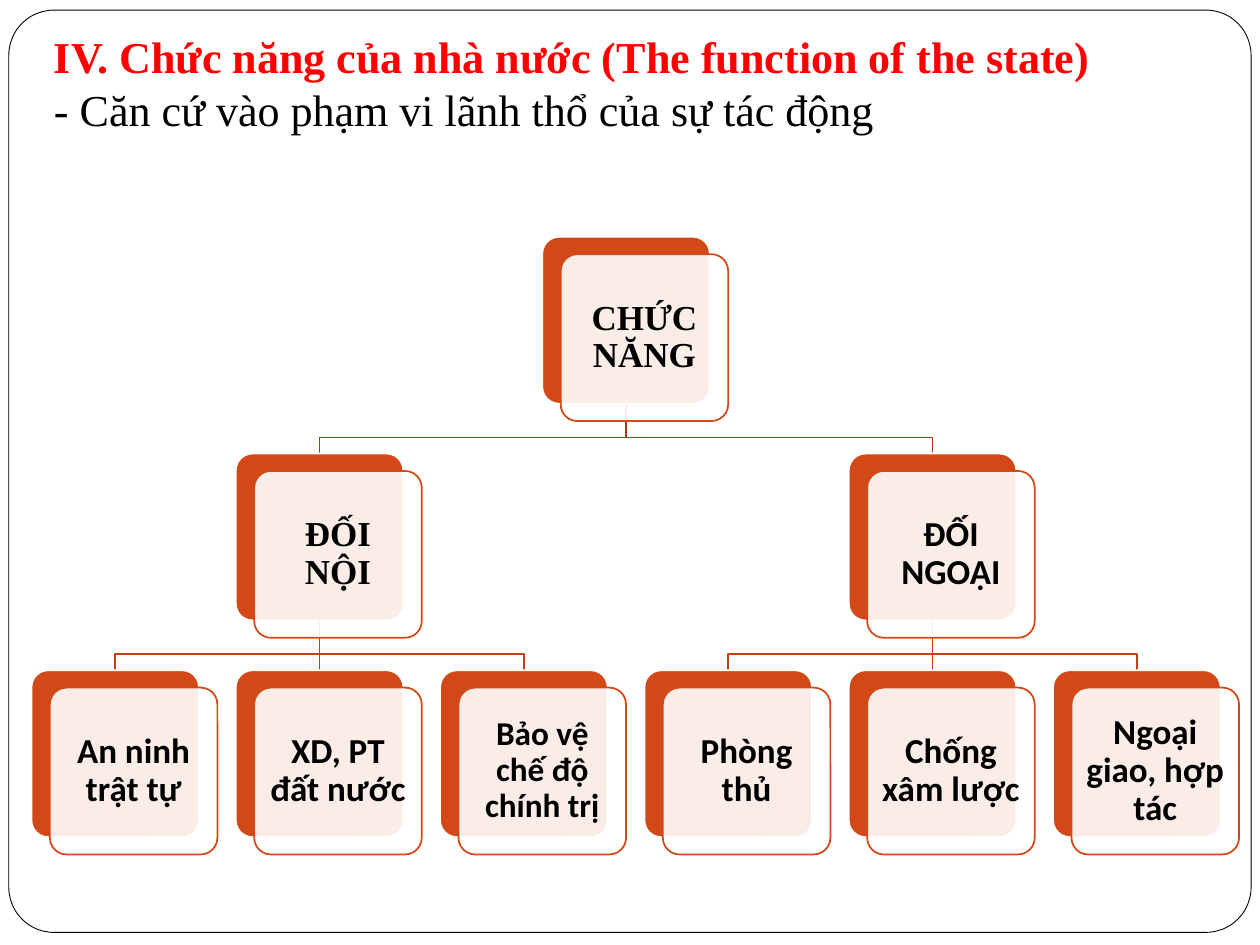
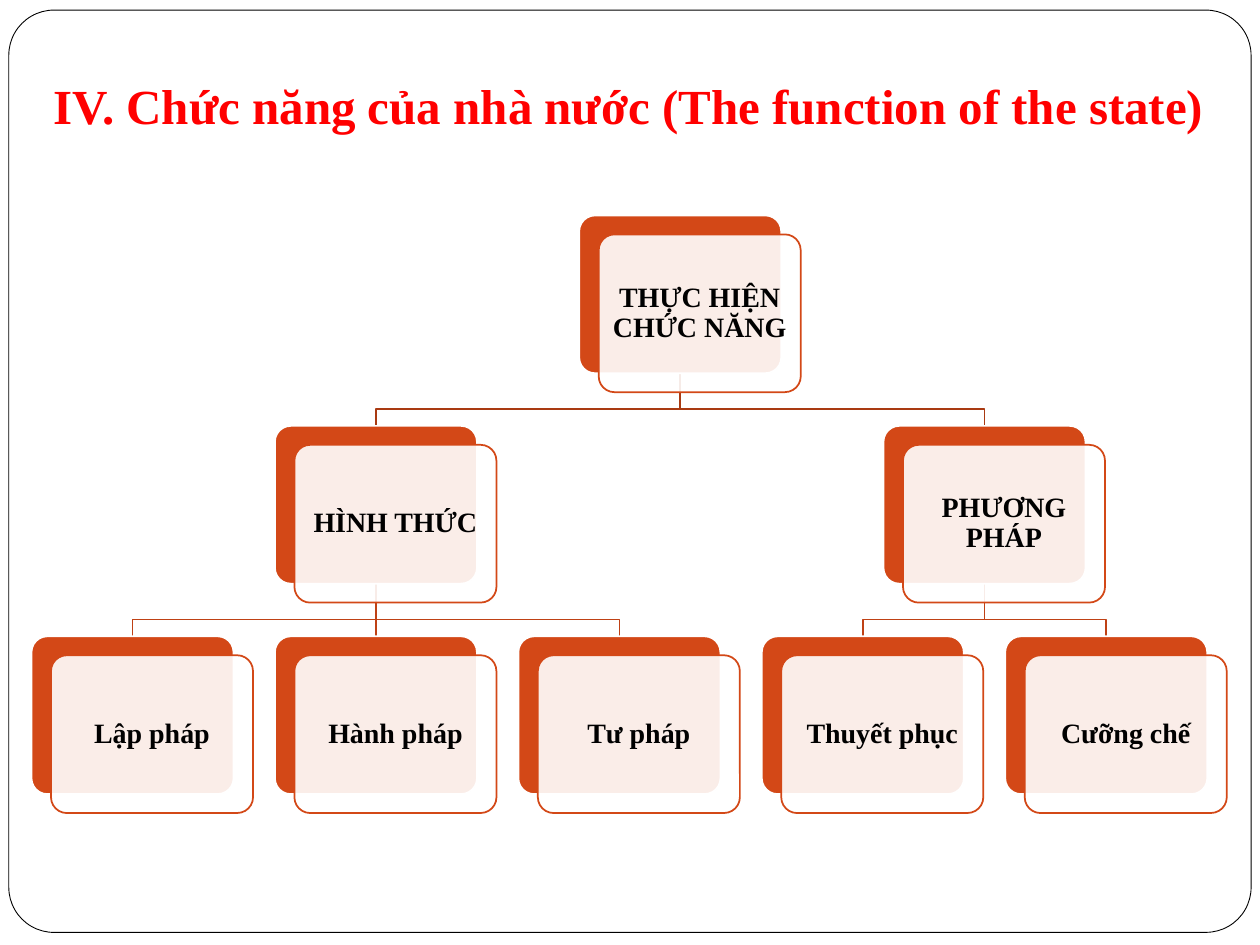
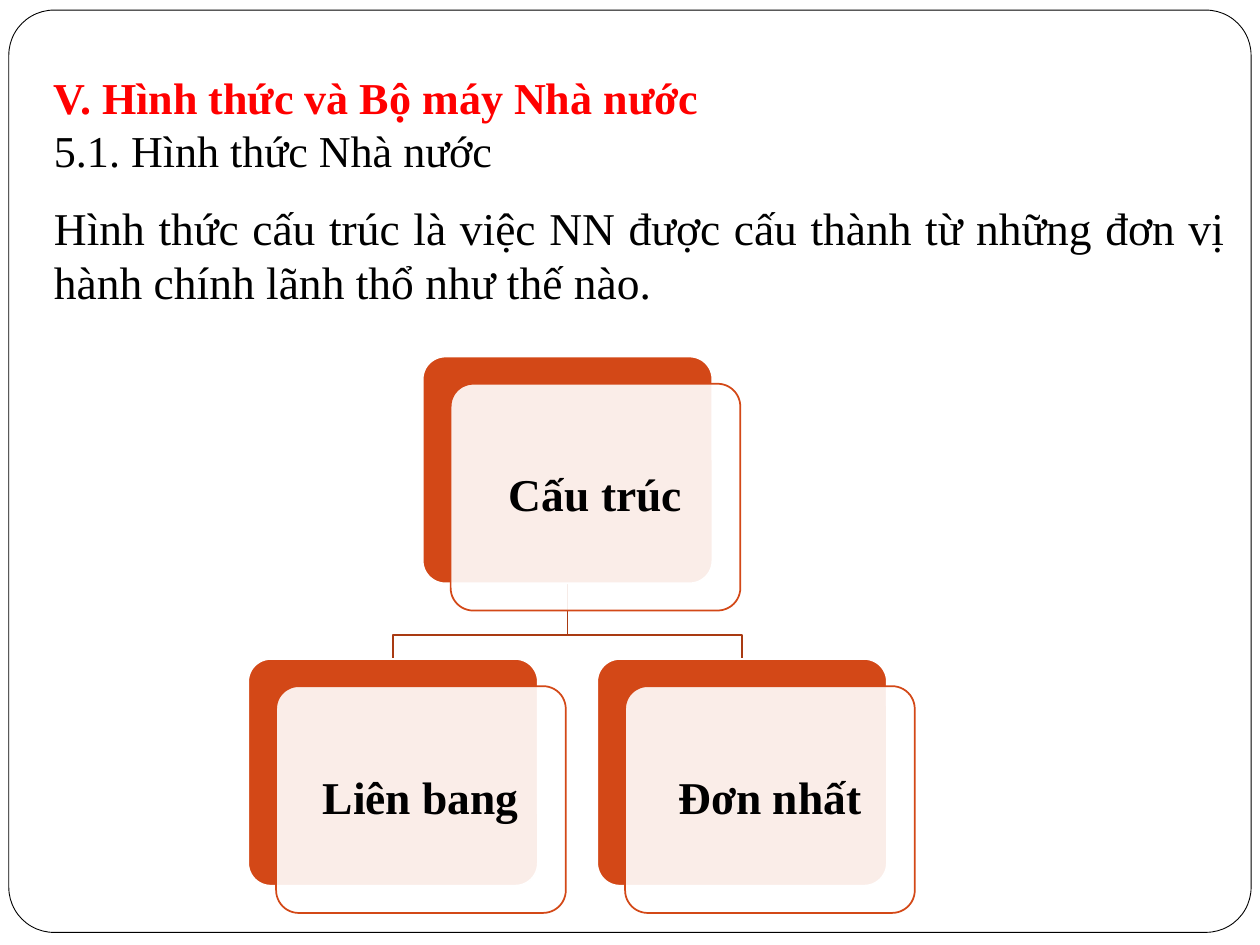
from dataclasses import dataclass
from itertools import count

from lxml import etree
from pptx import Presentation
from pptx.dml.color import RGBColor
from pptx.enum.shapes import MSO_CONNECTOR, MSO_SHAPE
from pptx.enum.text import MSO_ANCHOR, PP_ALIGN
from pptx.oxml.ns import qn
from pptx.util import Inches, Pt

ROUNDED = MSO_SHAPE.ROUNDED_RECTANGLE
STRAIGHT = MSO_CONNECTOR.STRAIGHT
MIDDLE, BOTTOM = MSO_ANCHOR.MIDDLE, MSO_ANCHOR.BOTTOM
LEFT, CENTER, JUSTIFY = PP_ALIGN.LEFT, PP_ALIGN.CENTER, PP_ALIGN.JUSTIFY

WHITE, BLACK, RED, ORANGE = "FFFFFF", "000000", "FF0000", "D34817"
LEVEL_LINES = ("A93A12", "BF4115")
SERIF, SANS = "Times New Roman", "Calibri"
SLIDE_WIDTH, SLIDE_HEIGHT = 10, 7.5
TEXT_LEFT, TEXT_WIDTH = 0.33, 9.5
BEND = 0.68
CARD_INSET = 0.055
FUNCTION_TITLE = "IV. Chức năng của nhà nước (The function of the state)"


@dataclass
class Node:
    """A card of the tree with the cards below it."""
    text: str
    children: tuple = ()
    font: str = SERIF
    size: float = None
    column: float = 0


@dataclass
class Grid:
    """A box cut into cells, with card size and front card shift as shares of a cell."""
    box: tuple
    columns: int
    rows: int
    card: tuple
    shift: tuple

    def __post_init__(self):
        """Work out the cell, card and shift lengths in inches."""
        self.cell_width = self.box[2] / self.columns
        self.cell_height = self.box[3] / self.rows
        self.card_width = self.card[0] * self.cell_width
        self.card_height = self.card[1] * self.cell_height
        self.shift_x = self.shift[0] * self.cell_width
        self.shift_y = self.shift[1] * self.cell_height

    def corner(self, column, row):
        """Return the left and top of the card in a cell."""
        return self.box[0] + column * self.cell_width, self.box[1] + row * self.cell_height


def color(value):
    """Turn a hex string into a colour."""
    return RGBColor.from_string(value)


def add_run(paragraph, text, font, size, ink=BLACK, bold=False):
    """Add one styled run to a paragraph."""
    run = paragraph.add_run()
    run.text = text
    run.font.name, run.font.size, run.font.bold = font, Pt(size), bold
    run.font.color.rgb = color(ink)


def set_frame(frame, insets, anchor):
    """Set wrapping, insets and anchor of a text frame and return its paragraph."""
    frame.word_wrap = True
    frame.vertical_anchor = anchor
    frame.margin_left, frame.margin_top, frame.margin_right, frame.margin_bottom = map(Inches, insets)
    return frame.paragraphs[0]


def add_rounded(slide, box, radius, fill, line, line_width=1):
    """Add a rounded rectangle without shadow."""
    shape = slide.shapes.add_shape(ROUNDED, *map(Inches, box))
    shape.adjustments[0] = radius
    shape.shadow.inherit = False
    shape.fill.solid()
    shape.fill.fore_color.rgb = color(fill)
    shape.line.color.rgb = color(line)
    shape.line.width = Pt(line_width)
    return shape


def add_text(slide, top, height, lines, alignment=LEFT):
    """Add a bottom-anchored text band whose lines are (text, size, colour, bold)."""
    box = slide.shapes.add_textbox(*map(Inches, (TEXT_LEFT, top, TEXT_WIDTH, height)))
    paragraph = set_frame(box.text_frame, (0.1, 0.05, 0.1, 0.1), BOTTOM)
    paragraph.alignment = alignment
    for index, (text, size, ink, bold) in enumerate(lines):
        if index:
            paragraph.add_line_break()
        add_run(paragraph, text, SERIF, size, ink, bold)


def add_framed_slide(presentation):
    """Add a blank slide with the rounded page frame."""
    slide = presentation.slides.add_slide(presentation.slide_layouts[6])
    add_rounded(slide, (0.07, 0.08, SLIDE_WIDTH - 0.14, SLIDE_HEIGHT - 0.18), 0.049, WHITE, BLACK, 0.5)
    return slide


def place_columns(node, leaf_columns):
    """Number the leaves from the left and centre each parent over its children."""
    for child in node.children:
        place_columns(child, leaf_columns)
    if node.children:
        node.column = (node.children[0].column + node.children[-1].column) / 2
    else:
        node.column = next(leaf_columns)


def add_link(slide, grid, parent, child, row):
    """Join a parent card to a child card with a straight or elbow line."""
    half = grid.card_width / 2
    left, top = grid.corner(parent.column, row)
    child_left, end_y = grid.corner(child.column, row + 1)
    start_x, start_y, end_x = left + half, top + grid.card_height, child_left + half
    if parent.column == child.column:
        link = slide.shapes.add_connector(STRAIGHT, *map(Inches, (start_x, start_y, end_x, end_y)))
        etree.SubElement(link.element.spPr, qn("a:effectLst"))
    else:
        bend_y = start_y + BEND * (end_y - start_y)
        builder = slide.shapes.build_freeform(Inches(start_x), Inches(start_y))
        points = ((start_x, bend_y), (end_x, bend_y), (end_x, end_y))
        builder.add_line_segments([(Inches(x), Inches(y)) for x, y in points], close=False)
        link = builder.convert_to_shape()
        link.fill.background()
        link.shadow.inherit = False
    link.line.color.rgb = color(LEVEL_LINES[row])
    link.line.width = Pt(1)


def add_links(slide, grid, node, row=0):
    """Draw all lines below a card."""
    for child in node.children:
        add_link(slide, grid, node, child, row)
        add_links(slide, grid, child, row + 1)


def add_cards(slide, grid, node, size, row=0):
    """Draw a card as a solid back and a translucent front, then its children."""
    left, top = grid.corner(node.column, row)
    extent = grid.card_width, grid.card_height
    add_rounded(slide, (left, top, *extent), 0.1, ORANGE, WHITE)
    front = add_rounded(slide, (left + grid.shift_x, top + grid.shift_y, *extent), 0.1, WHITE, ORANGE)
    tint = front.element.spPr.find(qn("a:solidFill"))[0]
    etree.SubElement(tint, qn("a:alpha"), val="90000")
    paragraph = set_frame(front.text_frame, [CARD_INSET * grid.card_height] * 4, MIDDLE)
    paragraph.alignment, paragraph.line_spacing = CENTER, 0.9
    add_run(paragraph, node.text, node.font, node.size or size, bold=True)
    for child in node.children:
        add_cards(slide, grid, child, size, row + 1)


def add_tree(slide, grid, root, size):
    """Draw a tree of cards on a grid, lines behind cards."""
    place_columns(root, count())
    add_links(slide, grid, root)
    add_cards(slide, grid, root, size)


def build_functions(presentation):
    """Build the slide on functions by territory."""
    slide = add_framed_slide(presentation)
    add_text(slide, 0.25, 0.92, [
        (FUNCTION_TITLE, 25.2, RED, True),
        ("- Căn cứ vào phạm vi lãnh thổ của sự tác động", 25.2, BLACK, False)])
    internal = Node("ĐỐI NỘI", (
        Node("An ninh trật tự", font=SANS),
        Node("XD, PT đất nước", font=SANS),
        Node("Bảo vệ chế độ chính trị", font=SANS, size=19)))
    external = Node("ĐỐI NGOẠI", (
        Node("Phòng thủ", font=SANS),
        Node("Chống xâm lược", font=SANS),
        Node("Ngoại giao, hợp tác", font=SANS)), SANS)
    grid = Grid((0.25, 1.88, 9.73, 5.16), 6, 3, (0.82, 0.77), (0.09, 0.08))
    add_tree(slide, grid, Node("CHỨC NĂNG", (internal, external)), 20)


def build_exercise(presentation):
    """Build the slide on how functions are carried out."""
    slide = add_framed_slide(presentation)
    add_text(slide, 0.5, 0.67, [(FUNCTION_TITLE, 28, RED, True)])
    forms = Node("HÌNH THỨC", (Node("Lập pháp"), Node("Hành pháp"), Node("Tư pháp")))
    methods = Node("PHƯƠNG PHÁP", (Node("Thuyết phục"), Node("Cưỡng chế")))
    grid = Grid((0.25, 1.71, 9.66, 5.01), 5, 3, (0.83, 0.75), (0.08, 0.09))
    add_tree(slide, grid, Node("THỰC HIỆN CHỨC NĂNG", (forms, methods)), 16)


def build_structure(presentation):
    """Build the slide on the structure of the state."""
    slide = add_framed_slide(presentation)
    add_text(slide, 0.5, 1, [
        ("V. Hình thức và Bộ máy Nhà nước", 25.2, RED, True),
        ("5.1. Hình thức Nhà nước", 25.2, BLACK, False)])
    add_text(slide, 1.47, 1.08, [
        ("Hình thức cấu trúc là việc NN được cấu thành từ những đơn vị "
         "hành chính lãnh thổ như thế nào.", 26, BLACK, False)], JUSTIFY)
    grid = Grid((1.97, 2.83, 5.54, 4.8), 2, 2, (0.83, 0.75), (0.08, 0.09))
    add_tree(slide, grid, Node("Cấu trúc", (Node("Liên bang"), Node("Đơn nhất"))), 26)


def main():
    """Build and save the presentation."""
    presentation = Presentation()
    presentation.slide_width, presentation.slide_height = Inches(SLIDE_WIDTH), Inches(SLIDE_HEIGHT)
    for build in (build_functions, build_exercise, build_structure):
        build(presentation)
    presentation.save("out.pptx")


if __name__ == "__main__":
    main()
